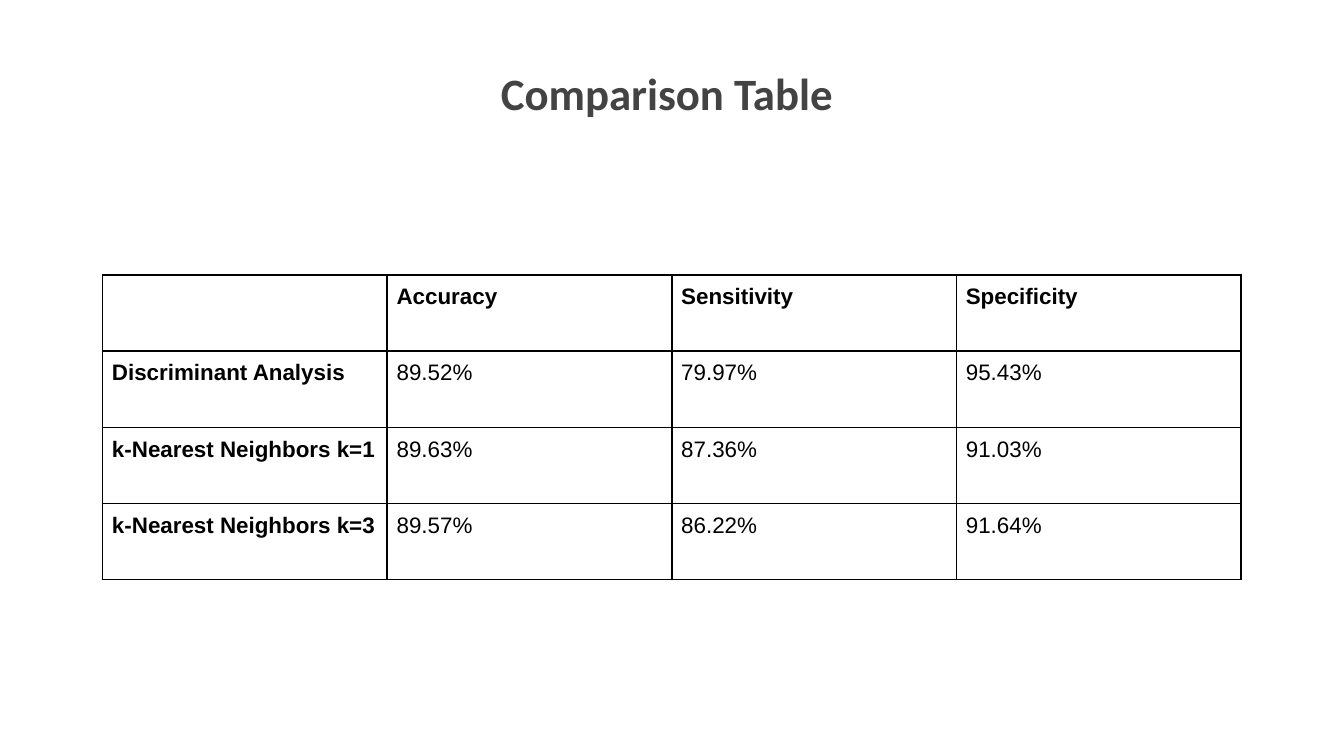
from lxml import etree
from pptx import Presentation
from pptx.dml.color import RGBColor
from pptx.enum import text
from pptx.oxml.ns import qn
from pptx.util import Pt

TITLE = "Comparison Table"
RESULTS = [
    ("", "Accuracy", "Sensitivity", "Specificity"),
    ("Discriminant Analysis", "89.52%", "79.97%", "95.43%"),
    ("k-Nearest Neighbors k=1", "89.63%", "87.36%", "91.03%"),
    ("k-Nearest Neighbors k=3", "89.57%", "86.22%", "91.64%"),
]

THEME = {
    "title": {"font": "Calibri", "size": 24, "color": "434343"},
    "cell": {"font": "Arial", "size": 12, "color": "000000"},
    "fill": "FFFFFF",
    "border": "000000",
}
SLIDE_SIZE = (720, 405)
TITLE_BOX = (152, 28, 410.5, 74)
TITLE_INSET = 7.2
TABLE_LEFT, TABLE_TOP = 55, 147.4
COLUMN_WIDTH, ROW_HEIGHT = 152.5, 40.8
CELL_INSET = 5
BORDER_WIDTH = 1


def set_insets(target, inset):
    target.margin_left = target.margin_right = Pt(inset)
    target.margin_top = target.margin_bottom = Pt(inset)


def style_runs(frame, style, bold):
    for paragraph in frame.paragraphs:
        for run in paragraph.runs:
            run.font.name = style["font"]
            run.font.size = Pt(style["size"])
            run.font.bold = bold
            run.font.color.rgb = RGBColor.from_string(style["color"])


def add_borders(cell):
    """Draw all four sides; borders must precede the fill in the cell XML."""
    properties = cell._tc.get_or_add_tcPr()
    for position, side in enumerate(("a:lnL", "a:lnR", "a:lnT", "a:lnB")):
        line = etree.Element(qn(side), w=str(Pt(BORDER_WIDTH)))
        fill = etree.SubElement(line, qn("a:solidFill"))
        etree.SubElement(fill, qn("a:srgbClr"), val=THEME["border"])
        properties.insert(position, line)


def add_title(slide):
    title = slide.shapes.title
    title.left, title.top, title.width, title.height = map(Pt, TITLE_BOX)
    frame = title.text_frame
    frame.text = TITLE
    frame.word_wrap = True
    frame.auto_size = text.MSO_AUTO_SIZE.NONE
    frame.vertical_anchor = text.MSO_ANCHOR.TOP
    set_insets(frame, TITLE_INSET)
    frame.paragraphs[0].alignment = text.PP_ALIGN.CENTER
    style_runs(frame, THEME["title"], bold=True)


def add_results(slide):
    rows, columns = len(RESULTS), len(RESULTS[0])
    table = slide.shapes.add_table(
        rows, columns, Pt(TABLE_LEFT), Pt(TABLE_TOP),
        Pt(columns * COLUMN_WIDTH), Pt(rows * ROW_HEIGHT)).table
    table.first_row = table.horz_banding = False
    for r, values in enumerate(RESULTS):
        for c, value in enumerate(values):
            cell = table.cell(r, c)
            cell.text_frame.text = value
            cell.vertical_anchor = text.MSO_ANCHOR.TOP
            set_insets(cell, CELL_INSET)
            style_runs(cell.text_frame, THEME["cell"], bold=r == 0 or c == 0)
            cell.fill.solid()
            cell.fill.fore_color.rgb = RGBColor.from_string(THEME["fill"])
            add_borders(cell)


def main():
    deck = Presentation()
    deck.slide_width, deck.slide_height = map(Pt, SLIDE_SIZE)
    slide = deck.slides.add_slide(deck.slide_layouts.get_by_name("Title Only"))
    add_title(slide)
    add_results(slide)
    deck.save("out.pptx")


if __name__ == "__main__":
    main()
